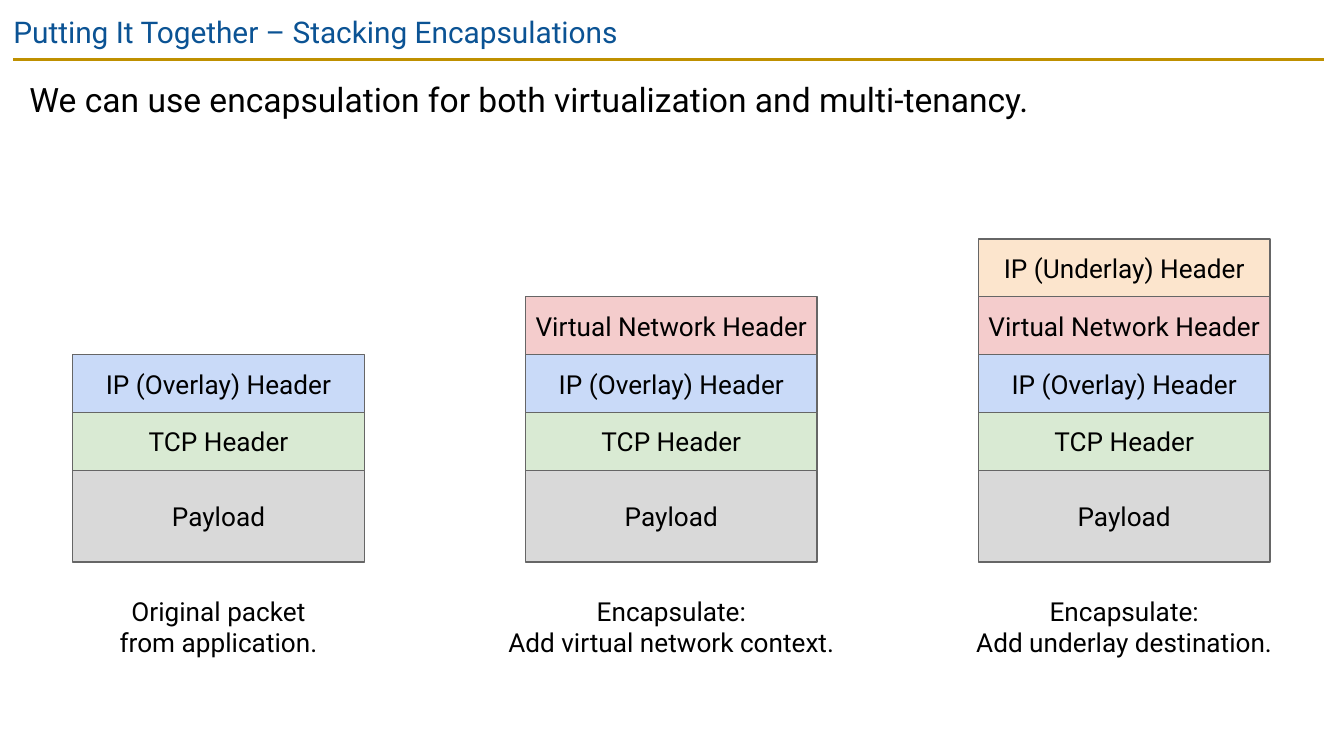
from dataclasses import dataclass

from lxml import etree
from pptx import Presentation
from pptx import util as u
from pptx.dml.color import RGBColor
from pptx.enum import shapes, text
from pptx.oxml import ns


@dataclass(frozen=True)
class Theme:
    font: str = "Roboto"
    title: str = "0B5394"
    rule: str = "BF9000"
    ink: str = "000000"
    border: str = "666666"
    title_size: float = 16
    body_size: float = 18
    label_size: float = 14


@dataclass(frozen=True)
class Layer:
    label: str
    fill: str
    height: float = 31
    inset: float = 7.2


@dataclass(frozen=True)
class Packet:
    layers: int
    caption: str
    caption_width: float = 183


T = Theme()

# Layers from the bottom of a packet to the top
LAYERS = [
    Layer("Payload", "D9D9D9", height=49),
    Layer("TCP Header", "D9EAD3"),
    Layer("IP (Overlay) Header", "C9DAF8"),
    Layer("Virtual Network Header", "F4CCCC", inset=0),
    Layer("IP (Underlay) Header", "FCE5CD"),
]
PACKETS = [
    Packet(3, "Original packet from application.", caption_width=125.3),
    Packet(4, "Encapsulate:\vAdd virtual network context."),
    Packet(5, "Encapsulate:\vAdd underlay destination."),
]
LEFT, STEP, WIDTH, BOTTOM = 39, 242.6, 156.2, 301
CAPTION_TOP, CAPTION_HEIGHT = 319, 34


def place(sp, x: float, y: float, w: float, h: float) -> None:
    sp.left, sp.top, sp.width, sp.height = u.Pt(x), u.Pt(y), u.Pt(w), u.Pt(h)


def write(sp, words: str, *, size: float = T.label_size, color: str = T.ink,
          align=text.PP_ALIGN.CENTER, anchor=text.MSO_ANCHOR.TOP,
          inset: float = 7.2, spacing: float = 1.0, bullet: bool = True) -> None:
    tf = sp.text_frame
    tf.word_wrap = True
    tf.auto_size = text.MSO_AUTO_SIZE.NONE
    tf.vertical_anchor = anchor
    tf.margin_left = tf.margin_right = u.Pt(inset)
    tf.margin_top = tf.margin_bottom = u.Pt(inset)
    p = tf.paragraphs[0]
    p.text = words
    if not bullet:
        pPr = p._p.get_or_add_pPr()
        pPr.set("marL", "0")
        pPr.set("indent", "0")
        etree.SubElement(pPr, ns.qn("a:buNone"))
    p.alignment = align
    p.line_spacing = spacing
    p.space_before = u.Pt(0)
    for r in p.runs:
        r.font.name = T.font
        r.font.size = u.Pt(size)
        r.font.color.rgb = RGBColor.from_string(color)


def draw_rule(s, x1: float, x2: float, y: float) -> None:
    ln = s.shapes.add_connector(shapes.MSO_CONNECTOR.STRAIGHT,
                                u.Pt(x1), u.Pt(y), u.Pt(x2), u.Pt(y))
    ln.line.color.rgb = RGBColor.from_string(T.rule)
    ln.line.width = u.Pt(1.5)
    etree.SubElement(ln._element.spPr, ns.qn("a:effectLst"))


def draw_layer(s, layer: Layer, x: float, y: float) -> None:
    sp = s.shapes.add_shape(shapes.MSO_SHAPE.RECTANGLE, u.Pt(x), u.Pt(y),
                            u.Pt(WIDTH), u.Pt(layer.height))
    sp.shadow.inherit = False
    sp.fill.solid()
    sp.fill.fore_color.rgb = RGBColor.from_string(layer.fill)
    sp.line.color.rgb = RGBColor.from_string(T.border)
    sp.line.width = u.Pt(0.75)
    write(sp, layer.label, anchor=text.MSO_ANCHOR.MIDDLE, inset=layer.inset)


def draw_packet(s, packet: Packet, x: float) -> None:
    y = BOTTOM
    for layer in LAYERS[:packet.layers]:
        y -= layer.height
        draw_layer(s, layer, x, y)
    w = packet.caption_width
    sp = s.shapes.add_textbox(u.Pt(x + (WIDTH - w) / 2), u.Pt(CAPTION_TOP),
                              u.Pt(w), u.Pt(CAPTION_HEIGHT))
    write(sp, packet.caption, inset=0)


def main() -> None:
    prs = Presentation()
    prs.slide_width, prs.slide_height = u.Pt(720), u.Pt(405)
    s = prs.slides.add_slide(prs.slide_layouts[1])

    # Title, rule and lead sentence
    title, body = s.placeholders
    place(title, 0, 0, 720, 31)
    write(title, "Putting It Together – Stacking Encapsulations",
          size=T.title_size, color=T.title, align=text.PP_ALIGN.LEFT)
    draw_rule(s, 7.2, 709.2, 31.8)
    place(body, 8.6, 31.8, 701.3, 49)
    write(body, "We can use encapsulation for both virtualization and multi-tenancy.",
          size=T.body_size, align=text.PP_ALIGN.LEFT, spacing=1.15, bullet=False)

    # Packets, each with one more header than the last
    for i, packet in enumerate(PACKETS):
        draw_packet(s, packet, LEFT + i * STEP)

    prs.save("out.pptx")


if __name__ == "__main__":
    main()
